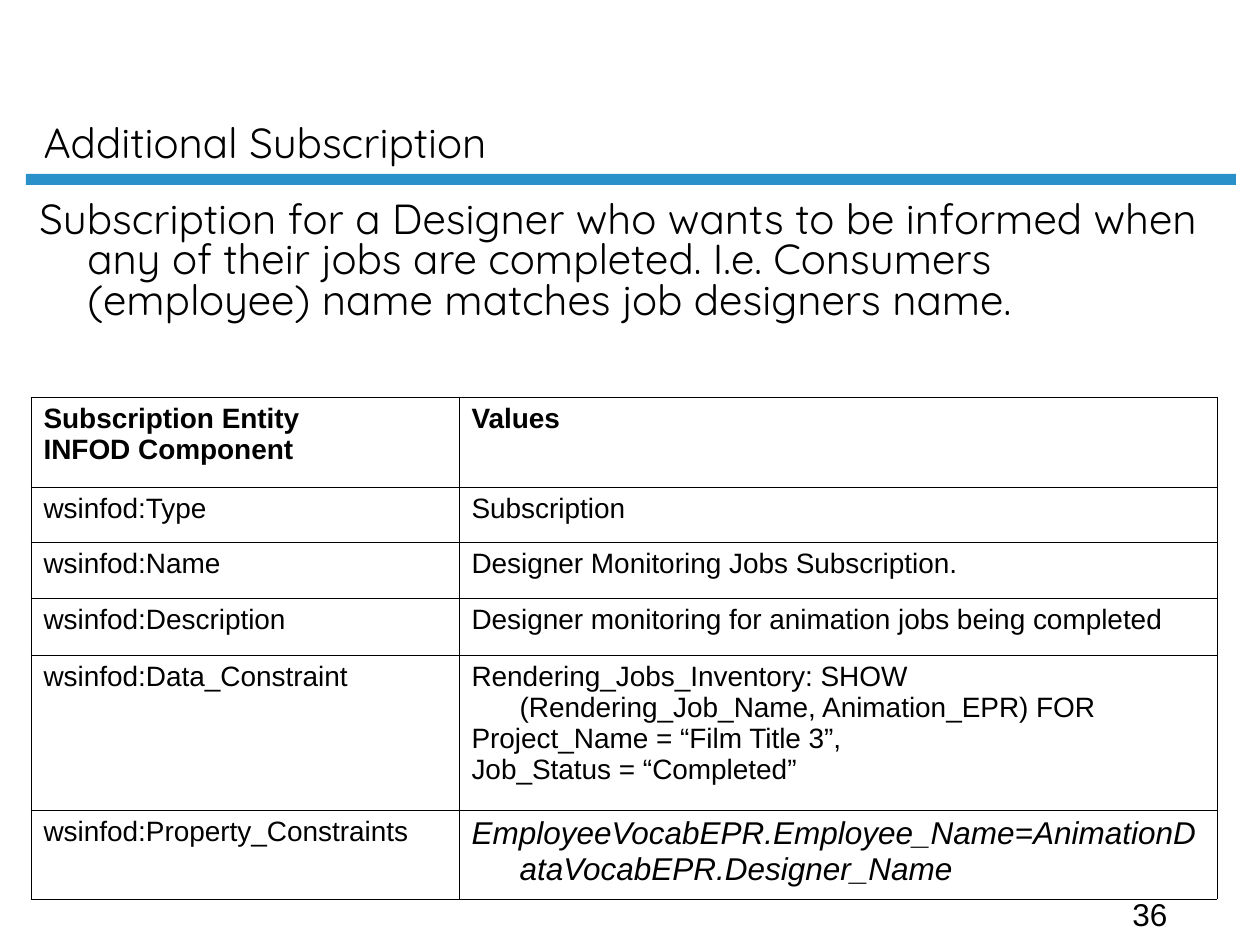
from lxml.etree import SubElement
from pptx import Presentation
from pptx.dml.color import RGBColor
from pptx.enum.shapes import MSO_SHAPE
from pptx.enum.text import MSO_ANCHOR, MSO_AUTO_SIZE, PP_ALIGN
from pptx.oxml.ns import qn
from pptx.util import Emu, Pt


def px(n):
    return Emu(round(n * 914400 / 126))


def rgb(color):
    return RGBColor.from_string(color)


class Deck:
    ink = "000000"
    accent = "2990CA"
    heading = "Quicksand"
    body = "Arial"
    hang = 48
    rule = 0.45

    def __init__(self, width, height):
        self.prs = Presentation()
        self.prs.slide_width, self.prs.slide_height = px(width), px(height)
        self.s = self.prs.slides.add_slide(self.prs.slide_layouts[5])

    def style(self, p, font, size, bold=False, italic=False, hanging=False):
        p.alignment = PP_ALIGN.LEFT
        if hanging:
            pPr = p._p.get_or_add_pPr()
            pPr.set("marL", str(px(self.hang)))
            pPr.set("indent", str(-px(self.hang)))
        for r in p.runs:
            r.font.name, r.font.size = font, Pt(size)
            r.font.bold, r.font.italic = bold, italic
            r.font.color.rgb = rgb(self.ink)

    def title(self, text, x, y, w, h):
        sp = self.s.shapes.title
        sp.left, sp.top, sp.width, sp.height = map(px, (x, y, w, h))
        tf = sp.text_frame
        tf.text = text
        tf.auto_size = MSO_AUTO_SIZE.NONE
        tf.vertical_anchor = MSO_ANCHOR.BOTTOM
        self.style(tf.paragraphs[0], self.heading, 24)

    def bar(self, x, y, w, h):
        sp = self.s.shapes.add_shape(MSO_SHAPE.RECTANGLE, *map(px, (x, y, w, h)))
        sp.shadow.inherit = False
        sp.fill.solid()
        sp.fill.fore_color.rgb = rgb(self.accent)
        sp.line.fill.background()

    def text(self, text, x, y, w, h, font, size, spacing=1.0, wrap=True, hanging=False):
        tf = self.s.shapes.add_textbox(*map(px, (x, y, w, h))).text_frame
        tf.word_wrap = wrap
        tf.text = text
        p = tf.paragraphs[0]
        p.line_spacing = spacing
        self.style(p, font, size, hanging=hanging)

    def borders(self, cell):
        tcPr = cell._tc.get_or_add_tcPr()
        for side in ("a:lnL", "a:lnR", "a:lnT", "a:lnB"):
            ln = SubElement(tcPr, qn(side), w=str(Pt(self.rule)))
            SubElement(SubElement(ln, qn("a:solidFill")), qn("a:srgbClr"), val=self.ink)

    def table(self, rows, x, y, widths, heights):
        size = sum(widths), sum(heights)
        frame = self.s.shapes.add_table(len(rows), len(widths), *map(px, (x, y, *size)))
        tbl = frame.table
        tbl.first_row = tbl.horz_banding = False
        for col, w in zip(tbl.columns, widths):
            col.width = px(w)
        for row, h, texts in zip(tbl.rows, heights, rows):
            row.height = px(h)
            for cell, text in zip(row.cells, texts):
                self.borders(cell)
                cell.fill.background()
                cell.text_frame.text = text
                header = texts is rows[0]
                formula = texts is rows[-1] and text is texts[-1]
                for p in cell.text_frame.paragraphs:
                    self.style(p, self.body, 18 if formula else 16,
                               bold=header, italic=formula, hanging=True)


ROWS = [
    ("Subscription Entity\nINFOD Component", "Values"),
    ("wsinfod:Type", "Subscription"),
    ("wsinfod:Name", "Designer Monitoring Jobs Subscription."),
    ("wsinfod:Description", "Designer monitoring for animation jobs being completed"),
    ("wsinfod:Data_Constraint",
     "Rendering_Jobs_Inventory: SHOW (Rendering_Job_Name, Animation_EPR) FOR\n"
     "Project_Name = “Film Title 3”,\n"
     "Job_Status = “Completed”"),
    ("wsinfod:Property_Constraints",
     "EmployeeVocabEPR.Employee_Name=AnimationDataVocabEPR.Designer_Name"),
]


def main():
    deck = Deck(1260, 945)
    deck.bar(26, 174, 1210, 11)
    deck.text("36", 1120, 889, 169, 50, deck.body, 18, wrap=False)
    deck.title("Additional Subscription", 31, 15, 1079, 158)
    deck.table(ROWS, 31, 397, (428, 758), (90, 55, 56, 57, 155, 89))
    deck.text("Subscription for a Designer who wants to be informed when any of their "
              "jobs are completed. I.e. Consumers (employee) name matches job "
              "designers name.",
              27, 196, 1186, 136, deck.heading, 24, spacing=0.8, hanging=True)
    deck.prs.save("out.pptx")


if __name__ == "__main__":
    main()
